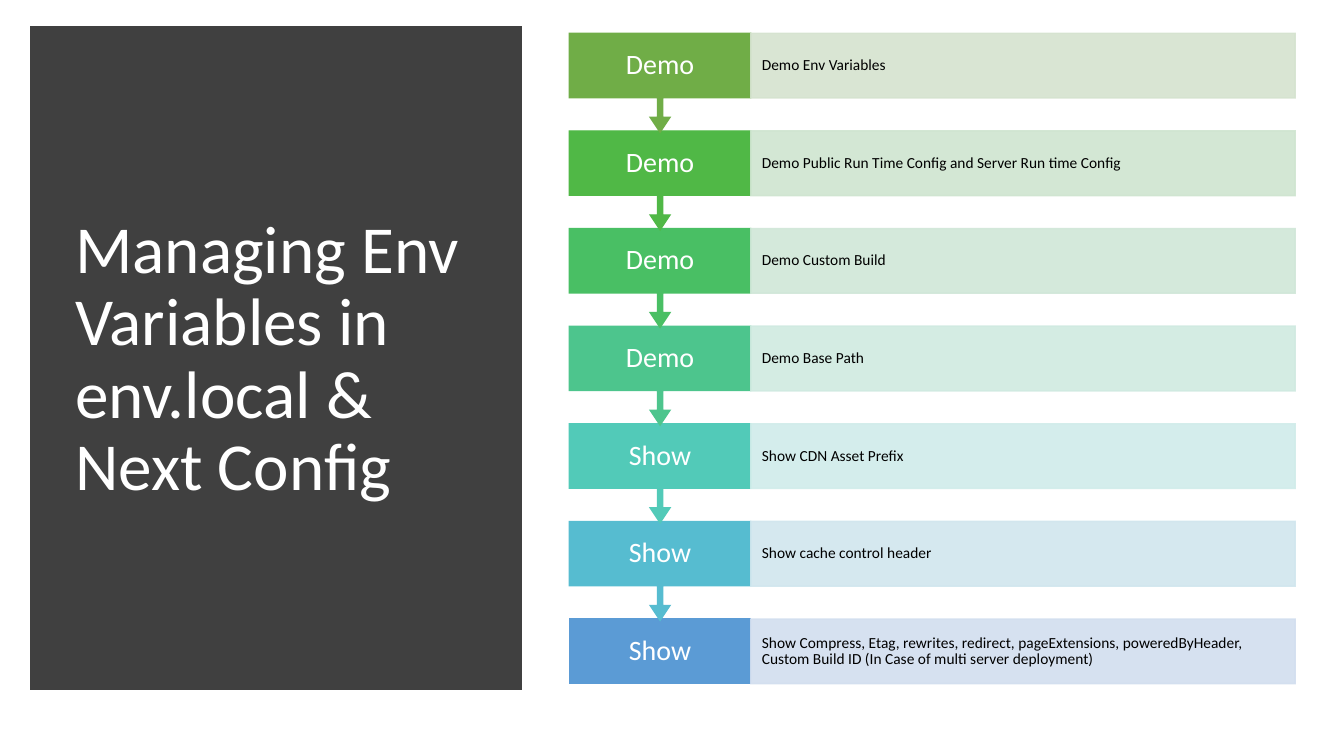
from dataclasses import dataclass

from lxml.etree import SubElement
from pptx import Presentation
from pptx.dml.color import RGBColor
from pptx.enum.shapes import MSO_SHAPE as Preset
from pptx.enum.text import MSO_ANCHOR as Anchor, MSO_AUTO_SIZE as AutoSize, PP_ALIGN as Align
from pptx.oxml.ns import qn
from pptx.shapes.autoshape import Shape
from pptx.slide import Slide
from pptx.util import Cm, Pt


@dataclass(frozen=True)
class Theme:
    font: str = "Calibri"
    panel: str = "404040"
    light: str = "FFFFFF"
    dark: str = "000000"
    title_size: int = 48
    label_size: int = 20
    detail_size: int = 11
    bar_opacity: int = 90


@dataclass(frozen=True)
class Area:
    left: float
    top: float
    width: float
    height: float

    def lengths(self) -> tuple[Cm, Cm, Cm, Cm]:
        return Cm(self.left), Cm(self.top), Cm(self.width), Cm(self.height)


@dataclass(frozen=True)
class Step:
    label: str
    detail: str
    colour: str
    tint: str


THEME = Theme()
PANEL = Area(0.94, 0.84, 12.04, 16.38)
TITLE = Area(1.65, 1.78, 10.57, 14.6)
LABEL_LEFT, LABEL_WIDTH = 14.35, 4.57
BAR_LEFT, BAR_WIDTH = LABEL_LEFT + LABEL_WIDTH, 13.72
ROW_TOP, ROW_HEIGHT, ROW_PITCH = 0.84, 1.63, 2.46
CALLOUT_HEIGHT = 2.49
CALLOUT_PROPORTIONS = (0.05, 0.1, 0.15, 0.65)

STEPS = (
    Step("Demo", "Demo Env Variables", "70AD47", "D5E3CF"),
    Step("Demo", "Demo Public Run Time Config and Server Run time Config", "50B846", "CFE5D0"),
    Step("Demo", "Demo Custom Build", "49BF64", "D0E7D8"),
    Step("Demo", "Demo Base Path", "4DC58D", "D0EAE1"),
    Step("Show", "Show CDN Asset Prefix", "52CAB8", "D0ECEA"),
    Step("Show", "Show cache control header", "56BCD0", "D1E6EE"),
    Step(
        "Show",
        "Show Compress, Etag, rewrites, redirect, pageExtensions, poweredByHeader, "
        "Custom Build ID (In Case of multi server deployment)",
        "5B9BD5",
        "D2DEEF",
    ),
)


def write(box: Shape, text: str, *, size: int, colour: str, align: Align = Align.LEFT,
          inset: tuple[float, float] = (0.25, 0.13)) -> None:
    frame = box.text_frame
    frame.word_wrap = True
    frame.auto_size = AutoSize.NONE
    frame.vertical_anchor = Anchor.MIDDLE
    frame.margin_left = frame.margin_right = Cm(inset[0])
    frame.margin_top = frame.margin_bottom = Cm(inset[1])
    para = frame.paragraphs[0]
    para.alignment = align
    para.line_spacing = 0.9
    span = para.add_run()
    span.text = text
    span.font.name = THEME.font
    span.font.size = Pt(size)
    span.font.color.rgb = RGBColor.from_string(colour)


def add_block(page: Slide, preset: Preset, area: Area, colour: str,
              line_width: float = 1, opacity: int = 100) -> Shape:
    block = page.shapes.add_shape(preset, *area.lengths())
    block.shadow.inherit = False
    block.fill.solid()
    block.fill.fore_color.rgb = RGBColor.from_string(colour)
    block.line.color.rgb = RGBColor.from_string(colour)
    block.line.width = Pt(line_width)
    SubElement(block.line.fill._xPr, qn("a:miter"), lim="800000")
    if opacity < 100:
        for tone in block.element.spPr.iter(qn("a:srgbClr")):
            SubElement(tone, qn("a:alpha"), val=str(opacity * 1000))
    return block


def add_title(page: Slide, text: str) -> None:
    title = page.shapes.title
    title.left, title.top, title.width, title.height = TITLE.lengths()
    write(title, text, size=THEME.title_size, colour=THEME.light)
    panel = add_block(page, Preset.RECTANGLE, PANEL, THEME.panel, line_width=10)
    title.element.addprevious(panel.element)


def add_step(page: Slide, step: Step, top: float, is_last: bool) -> None:
    label_area = Area(LABEL_LEFT, top, LABEL_WIDTH, ROW_HEIGHT)
    if is_last:
        add_block(page, Preset.RECTANGLE, label_area, step.colour)
    else:
        callout_area = Area(LABEL_LEFT, top, LABEL_WIDTH, CALLOUT_HEIGHT)
        callout = add_block(page, Preset.UP_ARROW_CALLOUT, callout_area, step.colour)
        callout.rotation = 180
        for index, proportion in enumerate(CALLOUT_PROPORTIONS):
            callout.adjustments[index] = proportion
    label = page.shapes.add_textbox(*label_area.lengths())
    write(label, step.label, size=THEME.label_size, colour=THEME.light,
          align=Align.CENTER, inset=(0.33, 0.41))
    bar = add_block(page, Preset.RECTANGLE, Area(BAR_LEFT, top, BAR_WIDTH, ROW_HEIGHT),
                    step.tint, opacity=THEME.bar_opacity)
    write(bar, step.detail, size=THEME.detail_size, colour=THEME.dark, inset=(0.28, 0.38))


def main() -> None:
    deck = Presentation()
    deck.slide_width, deck.slide_height = Cm(33.87), Cm(19.05)
    page = deck.slides.add_slide(deck.slide_layouts.get_by_name("Title Only"))
    add_title(page, "Managing Env Variables in env.local & Next Config")
    last = len(STEPS) - 1
    for index, step in reversed(list(enumerate(STEPS))):
        add_step(page, step, ROW_TOP + index * ROW_PITCH, index == last)
    deck.save("out.pptx")


main()
